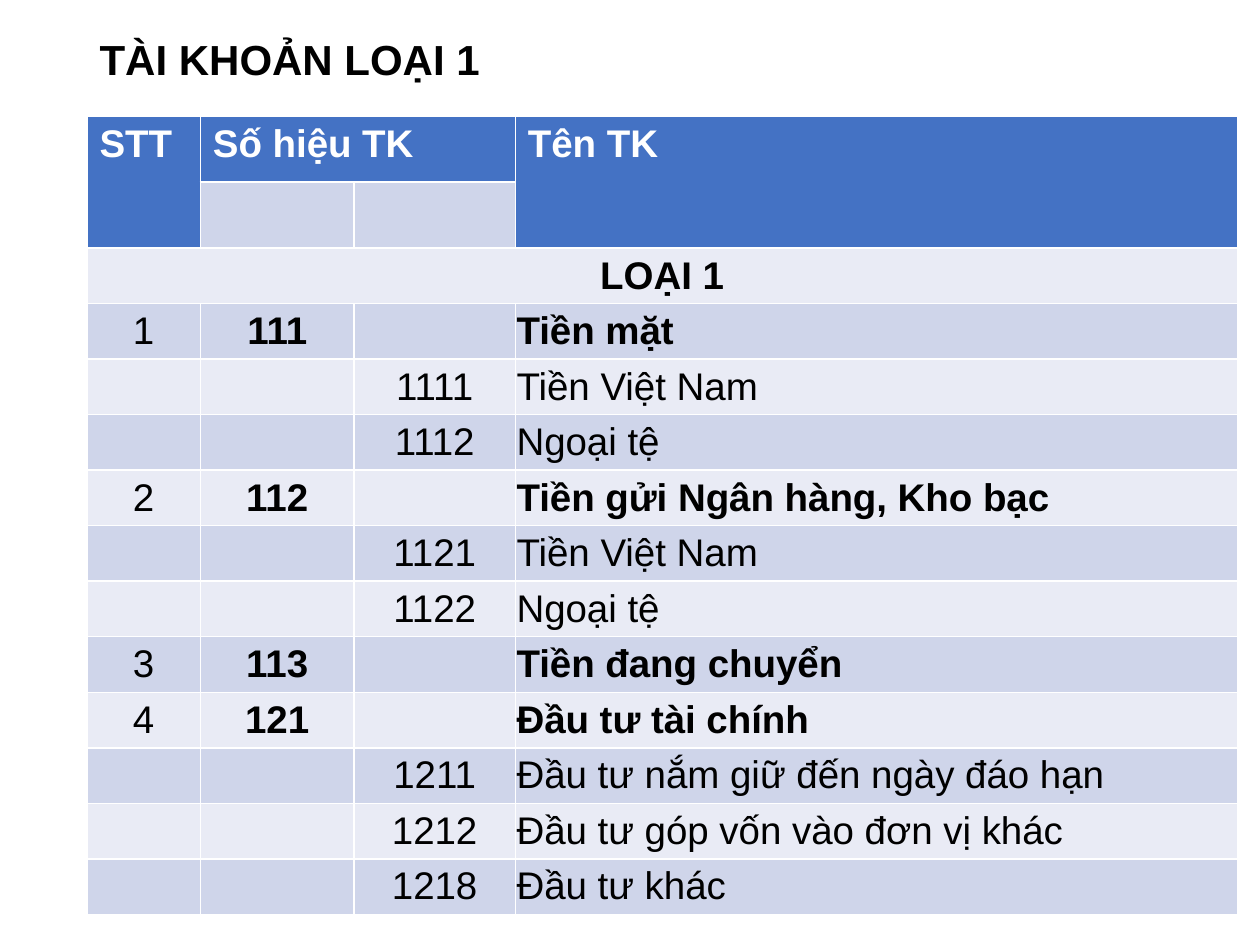
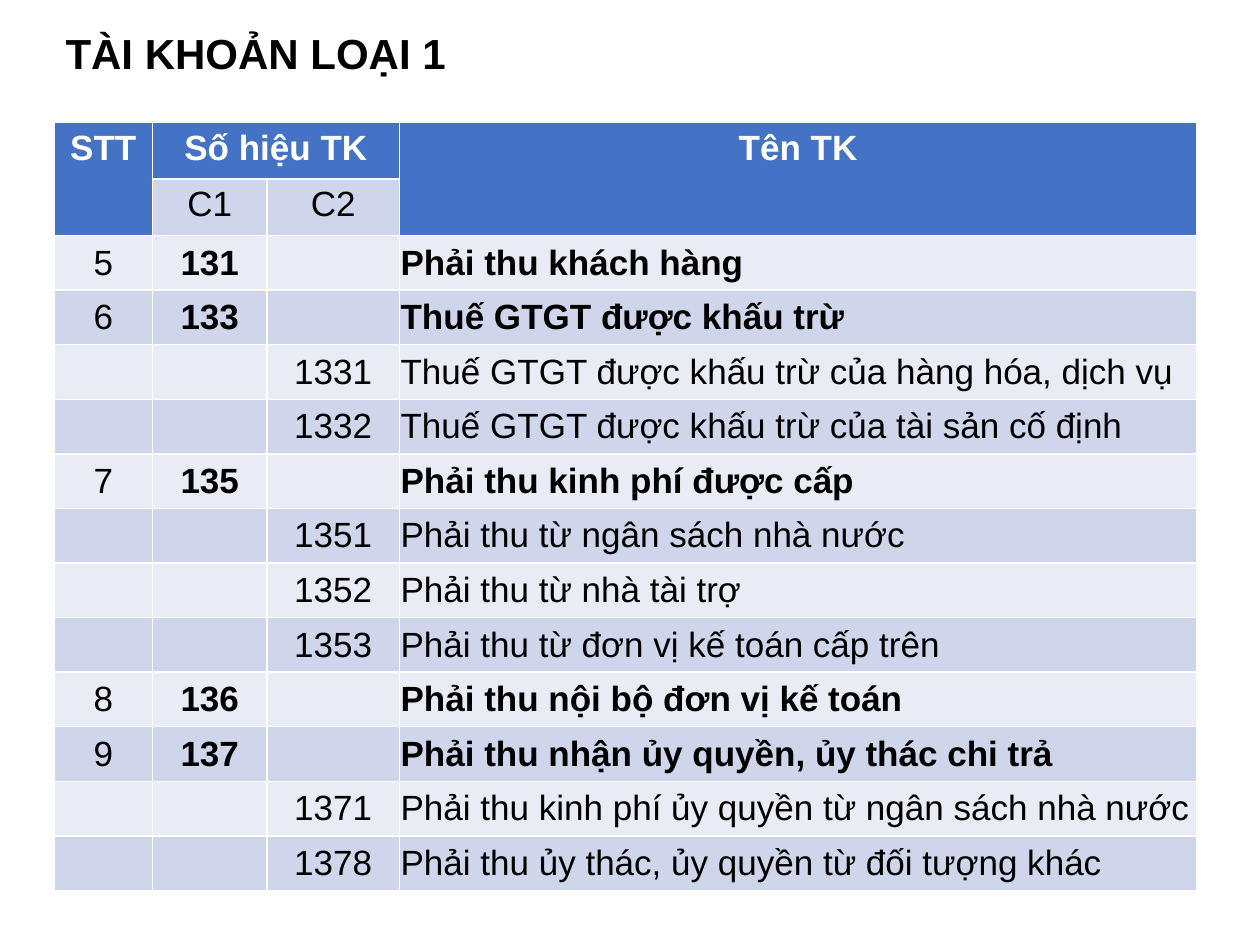
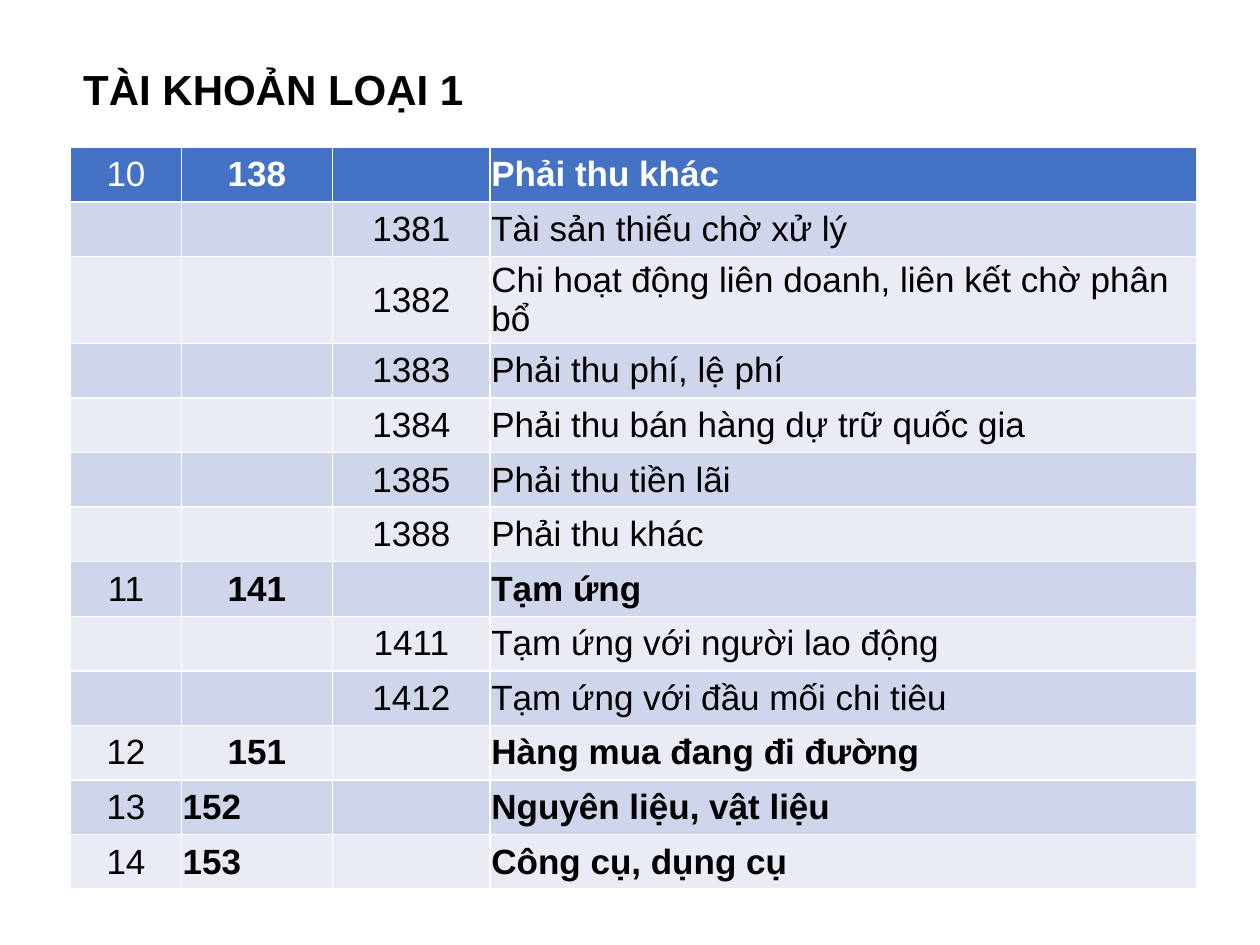
import pptx
import pptx.dml.color
import pptx.enum.text
import pptx.util

COLORS = {
    "title": "000000",
    "text": "000000",
    "header": "4472C4",
    "header text": "FFFFFF",
    "dark band": "CFD5EA",
    "light band": "E9EBF5",
}
FONT = "Arial"
TITLE = "TÀI KHOẢN LOẠI 1"
TITLE_SIZE = 24
TITLE_WIDTH, TITLE_HEIGHT = 32.2, 6.67
SLIDE_WIDTH = pptx.util.Inches(10)
SLIDE_HEIGHT = pptx.util.Inches(7.5)
CELL_MARGIN = pptx.util.Inches(0.01)
LEFT = pptx.enum.text.PP_ALIGN.LEFT
CENTER = pptx.enum.text.PP_ALIGN.CENTER
TOP = pptx.enum.text.MSO_ANCHOR.TOP
MIDDLE = pptx.enum.text.MSO_ANCHOR.MIDDLE

CASH_AND_INVESTMENTS = [
    ("111", "Tiền mặt"),
    ("1111", "Tiền Việt Nam"),
    ("1112", "Ngoại tệ"),
    ("112", "Tiền gửi Ngân hàng, Kho bạc"),
    ("1121", "Tiền Việt Nam"),
    ("1122", "Ngoại tệ"),
    ("113", "Tiền đang chuyển"),
    ("121", "Đầu tư tài chính"),
    ("1211", "Đầu tư nắm giữ đến ngày đáo hạn"),
    ("1212", "Đầu tư góp vốn vào đơn vị khác"),
    ("1218", "Đầu tư khác"),
]
RECEIVABLES = [
    ("131", "Phải thu khách hàng"),
    ("133", "Thuế GTGT được khấu trừ"),
    ("1331", "Thuế GTGT được khấu trừ của hàng hóa, dịch vụ"),
    ("1332", "Thuế GTGT được khấu trừ của tài sản cố định"),
    ("135", "Phải thu kinh phí được cấp"),
    ("1351", "Phải thu từ ngân sách nhà nước"),
    ("1352", "Phải thu từ nhà tài trợ"),
    ("1353", "Phải thu từ đơn vị kế toán cấp trên"),
    ("136", "Phải thu nội bộ đơn vị kế toán"),
    ("137", "Phải thu nhận ủy quyền, ủy thác chi trả"),
    ("1371", "Phải thu kinh phí ủy quyền từ ngân sách nhà nước"),
    ("1378", "Phải thu ủy thác, ủy quyền từ đối tượng khác"),
]
OTHER_AND_STOCK = [
    ("138", "Phải thu khác"),
    ("1381", "Tài sản thiếu chờ xử lý"),
    ("1382", "Chi hoạt động liên doanh, liên kết chờ phân bổ"),
    ("1383", "Phải thu phí, lệ phí"),
    ("1384", "Phải thu bán hàng dự trữ quốc gia"),
    ("1385", "Phải thu tiền lãi"),
    ("1388", "Phải thu khác"),
    ("141", "Tạm ứng"),
    ("1411", "Tạm ứng với người lao động"),
    ("1412", "Tạm ứng với đầu mối chi tiêu"),
    ("151", "Hàng mua đang đi đường"),
    ("152", "Nguyên liệu, vật liệu"),
    ("153", "Công cụ, dụng cụ"),
]
LEFT_ALIGNED_CODES = {"152", "153"}


def across(percent):
    """Length as a percentage of the slide's width."""
    return round(SLIDE_WIDTH * percent / 100)


def down(percent):
    """Length as a percentage of the slide's height."""
    return round(SLIDE_HEIGHT * percent / 100)


def rgb(name):
    return pptx.dml.color.RGBColor.from_string(COLORS[name])


def add_run(paragraph, text, size, color, bold):
    run = paragraph.add_run()
    run.text = text
    run.font.name = FONT
    run.font.size = pptx.util.Pt(size)
    run.font.bold = bold
    run.font.color.rgb = rgb(color)


def add_titled_slide(presentation, left, top):
    slide = presentation.slides.add_slide(presentation.slide_layouts[5])
    title = slide.shapes.title
    title.left, title.top = across(left), down(top)
    title.width, title.height = across(TITLE_WIDTH), down(TITLE_HEIGHT)
    frame = title.text_frame
    frame.word_wrap = False
    frame.auto_size = pptx.enum.text.MSO_AUTO_SIZE.SHAPE_TO_FIT_TEXT
    frame.vertical_anchor = TOP
    frame.paragraphs[0].alignment = LEFT
    add_run(frame.paragraphs[0], TITLE, TITLE_SIZE, "title", True)
    return slide


def add_banded_table(slide, left, top, height, columns, row_count, fixed_rows):
    """Rows outside fixed_rows (index to height) share the remaining height."""
    table = slide.shapes.add_table(
        row_count, len(columns), across(left), down(top),
        across(sum(columns)), down(height)).table
    for column, width in zip(table.columns, columns):
        column.width = across(width)
    shared = (height - sum(fixed_rows.values())) / (row_count - len(fixed_rows))
    for index, row in enumerate(table.rows):
        row.height = down(fixed_rows.get(index, shared))
        band = "header" if index == 0 else ("light band", "dark band")[index % 2]
        for cell in row.cells:
            cell.fill.solid()
            cell.fill.fore_color.rgb = rgb(band)
    return table


def write_cell(cell, text, size, color="text", bold=False, alignment=CENTER,
               compact=True):
    """Compact cells have thin margins and centre their text vertically."""
    if compact:
        cell.margin_left = cell.margin_right = CELL_MARGIN
        cell.margin_top = cell.margin_bottom = 0
        cell.vertical_anchor = MIDDLE
    paragraph = cell.text_frame.paragraphs[0]
    paragraph.alignment = alignment
    add_run(paragraph, text, size, color, bold)


def write_heading(table, size, alignment, levels=()):
    """Two-row heading; levels are the labels below the account number."""
    for column, text, last_row, last_column in (
            (0, "STT", 1, 0), (1, "Số hiệu TK", 0, 2), (3, "Tên TK", 1, 3)):
        cell = table.cell(0, column)
        cell.merge(table.cell(last_row, last_column))
        write_cell(cell, text, size, "header text", True, alignment, False)
    for column, level in enumerate(levels, start=1):
        write_cell(table.cell(1, column), level, size, compact=False)


def write_accounts(table, accounts, first_row, first_number, size):
    """Three-digit accounts are numbered and bold; the others are sub-accounts."""
    number = first_number
    for row, (code, name) in enumerate(accounts, start=first_row):
        main_account = len(code) == 3
        color = "header text" if row == 0 else "text"
        if main_account:
            write_cell(table.cell(row, 0), str(number), size, color)
            number += 1
        write_cell(table.cell(row, 1 if main_account else 2), code, size, color,
                   main_account, LEFT if code in LEFT_ALIGNED_CODES else CENTER)
        write_cell(table.cell(row, 3), name, size, color, main_account, LEFT)


def add_cash_slide(presentation):
    slide = add_titled_slide(presentation, 6.9, 2.93)
    table = add_banded_table(slide, 6.9, 12.27, 84.53, (9, 12.2, 12.8, 57.3),
                             3 + len(CASH_AND_INVESTMENTS), {0: 7.0, 1: 7.0})
    write_heading(table, 22, LEFT)
    section = table.cell(2, 0)
    section.merge(table.cell(2, 3))
    write_cell(section, "LOẠI 1", 22, bold=True)
    write_accounts(table, CASH_AND_INVESTMENTS, 3, 1, 22)


def add_receivables_slide(presentation):
    slide = add_titled_slide(presentation, 4.2, 2.27)
    table = add_banded_table(slide, 4.3, 12.93, 81.33, (7.8, 9.1, 10.5, 63.3),
                             2 + len(RECEIVABLES), {0: 6, 1: 6})
    write_heading(table, 20, CENTER, ("C1", "C2"))
    write_accounts(table, RECEIVABLES, 2, 5, 20)


def add_stock_slide(presentation):
    slide = add_titled_slide(presentation, 5.6, 6)
    table = add_banded_table(slide, 5.6, 15.6, 78.53, (8.8, 12, 12.5, 56.1),
                             len(OTHER_AND_STOCK), {2: 9.2})
    write_accounts(table, OTHER_AND_STOCK, 0, 10, 20)


def main():
    presentation = pptx.Presentation()
    presentation.slide_width = SLIDE_WIDTH
    presentation.slide_height = SLIDE_HEIGHT
    add_cash_slide(presentation)
    add_receivables_slide(presentation)
    add_stock_slide(presentation)
    presentation.save("out.pptx")


if __name__ == "__main__":
    main()
